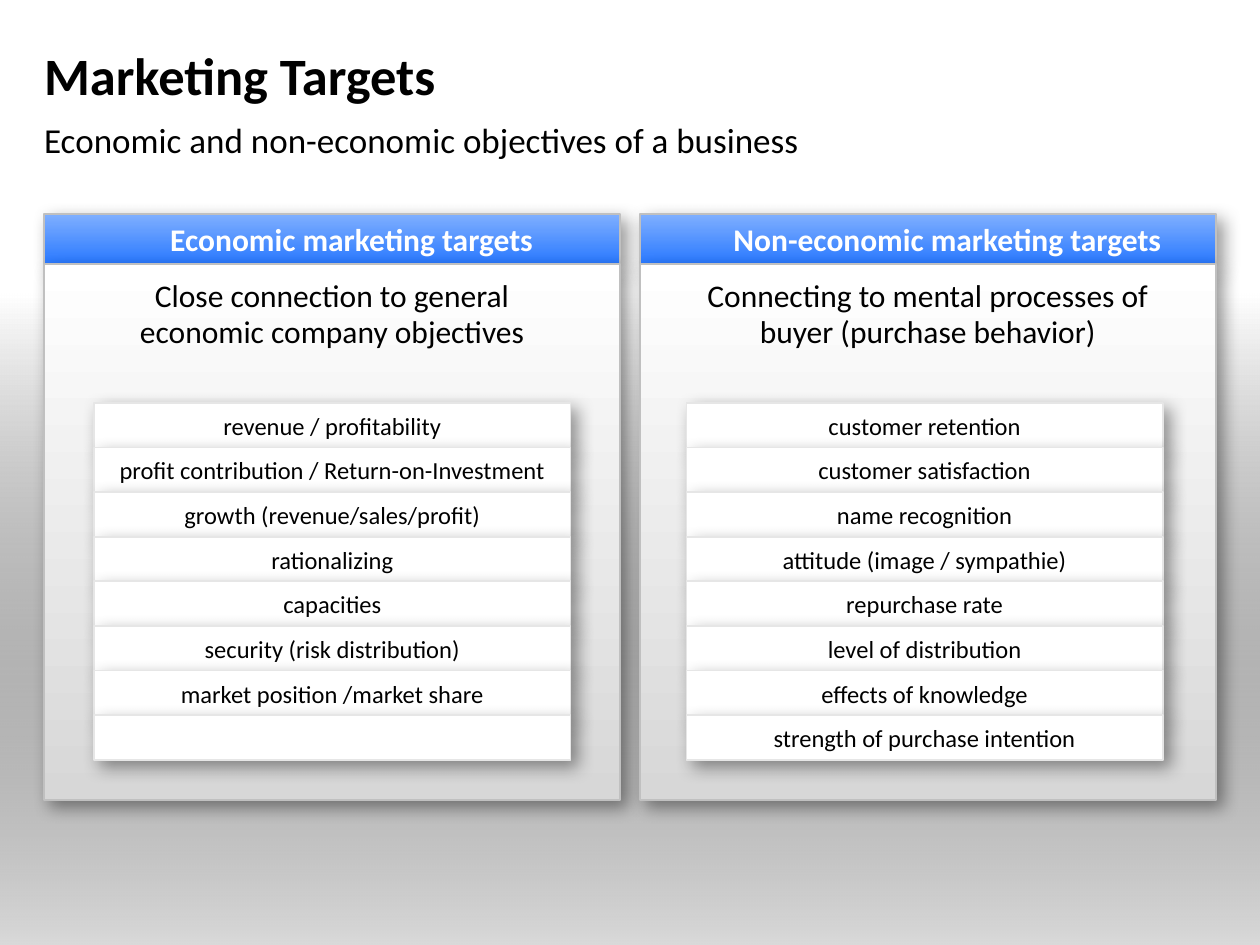
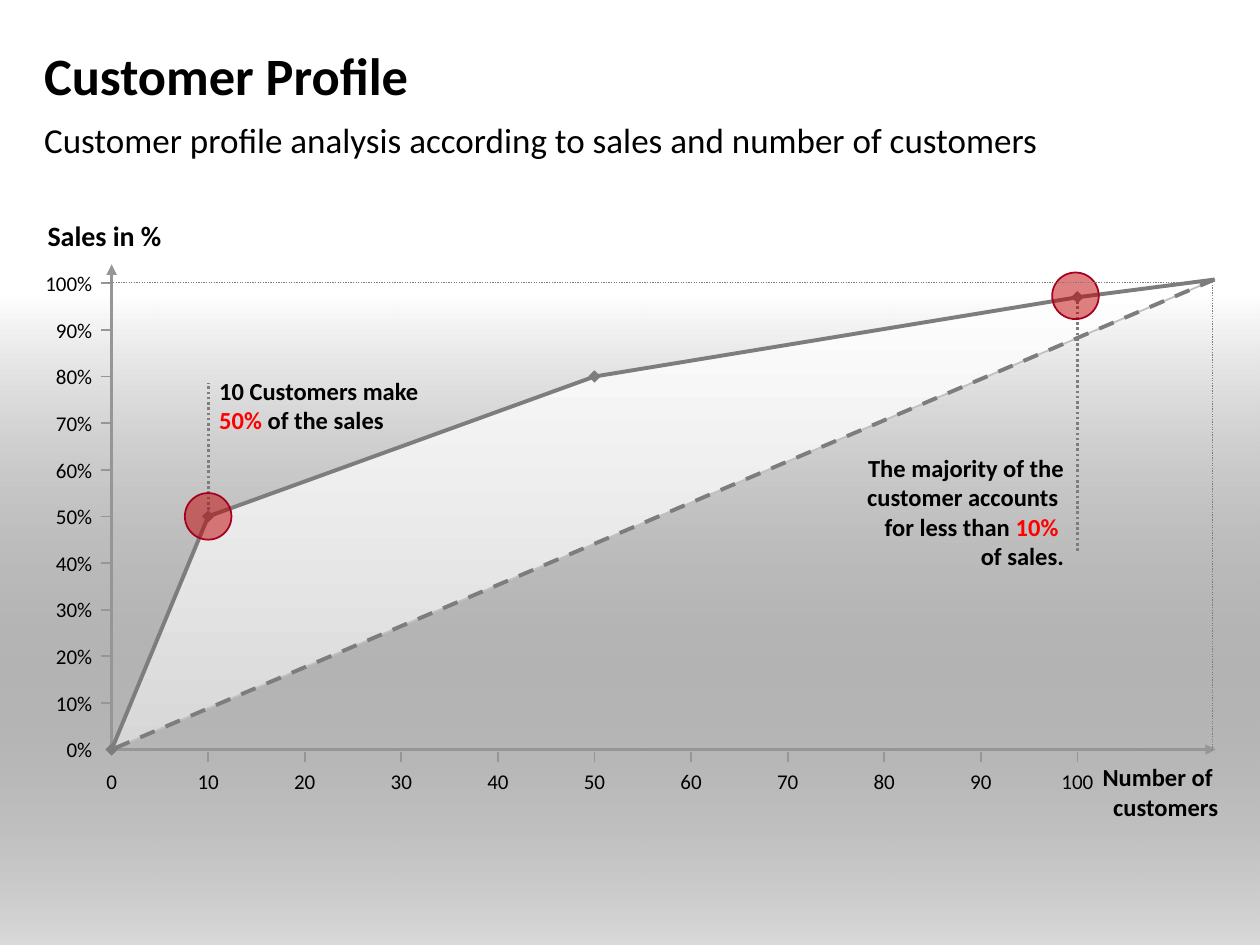
"""Builds two marketing slides: targets in two panels, and a customer profile curve."""
from pptx import Presentation
from pptx.dml.color import RGBColor
from pptx.enum import dml, shapes, text
from pptx.oxml.ns import qn
from pptx.util import Cm, Pt
from lxml import etree

FONT = "Calibri"
BLACK, WHITE = RGBColor(0, 0, 0), RGBColor(255, 255, 255)
RED = RGBColor(0xFF, 0, 0)
BLUE_TOP, BLUE_BOTTOM = RGBColor(0x7F, 0xAF, 0xFF), RGBColor(0x2A, 0x79, 0xFF)
PANEL_GREY, PANEL_EDGE = RGBColor(0xD7, 0xD7, 0xD7), RGBColor(0xC0, 0xC0, 0xC0)
ROW_EDGE = RGBColor(0xE6, 0xE6, 0xE6)
AXIS_GREY, CURVE_GREY = RGBColor(0x96, 0x96, 0x96), RGBColor(0x7D, 0x7D, 0x7D)
SPOT_FILL, SPOT_EDGE = RGBColor(0xC0, 0, 0), RGBColor(0xA5, 0, 0x21)

LEFT, CENTER, RIGHT = text.PP_ALIGN.LEFT, text.PP_ALIGN.CENTER, text.PP_ALIGN.RIGHT
TOP, MIDDLE = text.MSO_ANCHOR.TOP, text.MSO_ANCHOR.MIDDLE
RECT, OVAL, DIAMOND = (shapes.MSO_SHAPE.RECTANGLE, shapes.MSO_SHAPE.OVAL,
                       shapes.MSO_SHAPE.DIAMOND)
DASH, DOTS = dml.MSO_LINE.DASH, dml.MSO_LINE.ROUND_DOT
STANDARD_INSETS = (0.25, 0.13, 0.25, 0.13)
NO_INSETS = (0, 0, 0, 0)

PANELS = [
    {"left": 0.89, "rows_left": 1.9,
     "heading": "Economic marketing targets",
     "summary": "Close connection to general economic company objectives",
     "targets": ["revenue / profitability", "profit contribution / Return-on-Investment",
                 "growth (revenue/sales/profit)", "rationalizing", "capacities",
                 "security (risk distribution)", "market position /market share", ""]},
    {"left": 12.9, "rows_left": 13.84,
     "heading": "Non-economic marketing targets",
     "summary": "Connecting to mental processes of buyer (purchase behavior)",
     "targets": ["customer retention", "customer satisfaction", "name recognition",
                 "attitude (image / sympathie)", "repurchase rate",
                 "level of distribution", "effects of knowledge",
                 "strength of purchase intention"]},
]
PANEL_WIDTH, ROW_WIDTH, ROW_HEIGHT = 11.61, 9.6, 0.91
ROWS_TOP, ROW_PITCH = 8.12, 0.9

ORIGIN_X, ORIGIN_Y = 2.25, 15.11
CM_PER_CUSTOMER, CM_PER_PERCENT = 0.19, 0.09
CM_PER_CUSTOMER, CM_PER_PERCENT = 19.47 / 100, 9.4 / 100
PROFILE = [(0, 0), (10, 50), (50, 80), (100, 97), (114.2, 100.8)]
SPOTS = [(10, 50), (99.8, 97.3)]
SALES_NOTE = [("10 Customers make\n", BLACK), ("50% ", RED), ("of the sales", BLACK)]
MAJORITY_NOTE = [("The majority of the customer accounts \nfor less than ", BLACK),
                 ("10% \n", RED), ("of sales.", BLACK)]


def add_xml(parent, tag, **attributes):
    return etree.SubElement(parent, qn(tag), attributes)


def set_alpha(fill_element, percent):
    color = next(fill_element.iter(qn("a:srgbClr")))
    add_xml(color, "a:alpha", val=str(percent * 1000))


def write(shape, runs, size, align=LEFT, anchor=MIDDLE, bold=False,
          insets=STANDARD_INSETS, wrap=True):
    frame = shape.text_frame
    frame.word_wrap, frame.vertical_anchor = wrap, anchor
    (frame.margin_left, frame.margin_top,
     frame.margin_right, frame.margin_bottom) = map(Cm, insets)
    paragraph = frame.paragraphs[0]
    paragraph.alignment = align
    for words, color in runs:
        for number, line in enumerate(words.split("\n")):
            if number:
                paragraph.add_line_break()
            if line:
                run = paragraph.add_run()
                run.text = line
                run.font.name, run.font.size = FONT, Pt(size)
                run.font.bold, run.font.color.rgb = bold, color
    return paragraph


def add_text(slide, box, words, size, color=BLACK, **style):
    runs = [(words, color)] if isinstance(words, str) else words
    return write(slide.shapes.add_textbox(*map(Cm, box)), runs, size, **style)


def paint(shape, fill=None, edge=None, weight=1):
    """Fills with one colour, or with a (top, bottom) gradient, or not at all."""
    shape.shadow.inherit = False
    if fill is None:
        shape.fill.background()
    elif isinstance(fill, RGBColor):
        shape.fill.solid()
        shape.fill.fore_color.rgb = fill
    else:
        shape.fill.gradient()
        shape.fill.gradient_angle = 270
        for stop, color in zip(shape.fill.gradient_stops, fill):
            stop.color.rgb = color
    if edge is None:
        shape.line.fill.background()
    else:
        shape.line.color.rgb, shape.line.width = edge, Pt(weight)
    return shape


def add_box(slide, kind, box, fill, edge=None):
    return paint(slide.shapes.add_shape(kind, *map(Cm, box)), fill, edge)


def add_card(slide, box, fill, edge):
    card = add_box(slide, RECT, box, fill, edge)
    effects = card._element.spPr.find(qn("a:effectLst"))
    shadow = add_xml(effects, "a:outerShdw", blurRad=str(Pt(10)), dist=str(Pt(5)),
                     dir="2700000", algn="tl", rotWithShape="0")
    add_xml(add_xml(shadow, "a:srgbClr", val="000000"), "a:alpha", val="40000")
    return card


def add_line(slide, start, end, color, weight, dash=None, arrow=False):
    line = slide.shapes.add_connector(shapes.MSO_CONNECTOR.STRAIGHT,
                                      *map(Cm, (*start, *end)))
    line.line.color.rgb, line.line.width = color, Pt(weight)
    if dash:
        line.line.dash_style = dash
    if arrow:
        add_xml(line.line._get_or_add_ln(), "a:tailEnd", type="triangle")
    add_xml(line._element.spPr, "a:effectLst")


def add_outline(slide, points, closed, **look):
    corners = [(Cm(x), Cm(y)) for x, y in points]
    builder = slide.shapes.build_freeform(*corners[0])
    builder.add_line_segments(corners[1:], close=closed)
    return paint(builder.convert_to_shape(), **look)


def add_slide(deck, title, subtitle):
    slide = deck.slides.add_slide(deck.slide_layouts[6])
    backdrop = add_box(slide, RECT, (0, 5.92, 25.4, 13.13), (WHITE, BLACK))
    stops = backdrop._element.spPr.findall(".//" + qn("a:gs"))
    set_alpha(stops[-1], 15)
    add_text(slide, (0.89, 0.66, 23.6, 1.7), title, 30, bold=True, insets=NO_INSETS)
    add_text(slide, (0.89, 2.39, 23.6, 0.94), subtitle, 20, anchor=TOP, insets=NO_INSETS)
    return slide


def at(customers, percent):
    return (ORIGIN_X + customers * CM_PER_CUSTOMER, ORIGIN_Y - percent * CM_PER_PERCENT)


def around(point, size):
    x, y = at(*point)
    return (x - size / 2, y - size / 2, size, size)


def build_targets(deck):
    slide = add_slide(deck, "Marketing Targets",
                      "Economic and non-economic objectives of a business")
    for panel in PANELS:
        heading = add_card(slide, (panel["left"], 4.32, PANEL_WIDTH, 1),
                           (BLUE_TOP, BLUE_BOTTOM), PANEL_EDGE)
        write(heading, [(panel["heading"], WHITE)], 18, CENTER, bold=True,
              insets=(0.79, 0, 0, 0))
        body = add_card(slide, (panel["left"], 5.33, PANEL_WIDTH, 10.8),
                        (WHITE, PANEL_GREY), PANEL_EDGE)
        summary = write(body, [(panel["summary"], BLACK)], 18, CENTER, TOP,
                        insets=(1, 0.3, 1, 0.2))
        summary.line_spacing, summary.space_after = 0.95, Pt(8)
        for number, target in enumerate(panel["targets"]):
            row = add_card(slide, (panel["rows_left"], ROWS_TOP + number * ROW_PITCH,
                                   ROW_WIDTH, ROW_HEIGHT), WHITE, ROW_EDGE)
            write(row, [(target, BLACK)], 14, CENTER)


def add_axes(slide):
    add_text(slide, (21.97, 15.24, 2.84, 1.45), "Number of \ncustomers", 14,
             align=RIGHT, anchor=TOP, bold=True, wrap=False)
    add_text(slide, (0.71, 4.27, 2.84, 0.94), "Sales in %", 16,
             anchor=TOP, bold=True, wrap=False)
    add_line(slide, (2.21, ORIGIN_Y), (24.51, ORIGIN_Y), AXIS_GREY, 1.5, arrow=True)
    add_line(slide, (ORIGIN_X, ORIGIN_Y), (ORIGIN_X, 5.33), AXIS_GREY, 1.5, arrow=True)
    for value in range(0, 101, 10):
        x, y = at(value, value)
        if value:
            add_line(slide, (2.03, y), (ORIGIN_X, y), AXIS_GREY, 1)
            add_line(slide, (x, 15.37), (x, 15.16), AXIS_GREY, 1)
        add_text(slide, (0.31, y - 0.38, 1.8, 0.76), f"{value}%", 12,
                 align=RIGHT, wrap=False)
        add_text(slide, (x - 0.6, 15.37, 1.2, 0.76), str(value), 12,
                 align=CENTER, wrap=False)


def build_profile(deck):
    slide = add_slide(deck, "Customer Profile",
                      "Customer profile analysis according to sales and number of customers")
    add_axes(slide)
    curve = [at(*point) for point in PROFILE]
    add_outline(slide, curve, True, fill=(WHITE, PANEL_GREY), edge=PANEL_EDGE)
    add_outline(slide, curve, False, edge=CURVE_GREY, weight=2.25)
    add_line(slide, curve[-1], curve[0], CURVE_GREY, 2.25, DASH)
    for point in PROFILE[:-1]:
        add_box(slide, DIAMOND, around(point, 0.25), CURVE_GREY)

    add_line(slide, at(10, 51.4), at(10, 78.6), CURVE_GREY, 1.5, DOTS)
    add_text(slide, (4.42, 7.72, 4.88, 0.91), SALES_NOTE, 14, bold=True,
             insets=(0, 0.13, 0.25, 0.13))
    add_text(slide, (15.32, 9.53, 6.38, 1.57), MAJORITY_NOTE, 14, align=RIGHT, bold=True)
    add_line(slide, at(100, 42.6), at(100, 96.5), CURVE_GREY, 1.5, DOTS)
    for point in SPOTS:
        spot = add_box(slide, OVAL, around(point, 0.94), SPOT_FILL, SPOT_EDGE)
        set_alpha(spot._element.spPr.find(qn("a:solidFill")), 50)
    add_line(slide, at(114, 100.8), at(114, 0), CURVE_GREY, 0.75, DOTS)
    add_line(slide, at(113.8, 100.2), at(-0.5, 100.2), CURVE_GREY, 0.75, DOTS)


def main():
    deck = Presentation()
    deck.slide_width, deck.slide_height = Cm(25.4), Cm(19.05)
    build_targets(deck)
    build_profile(deck)
    deck.save("out.pptx")


if __name__ == "__main__":
    main()
